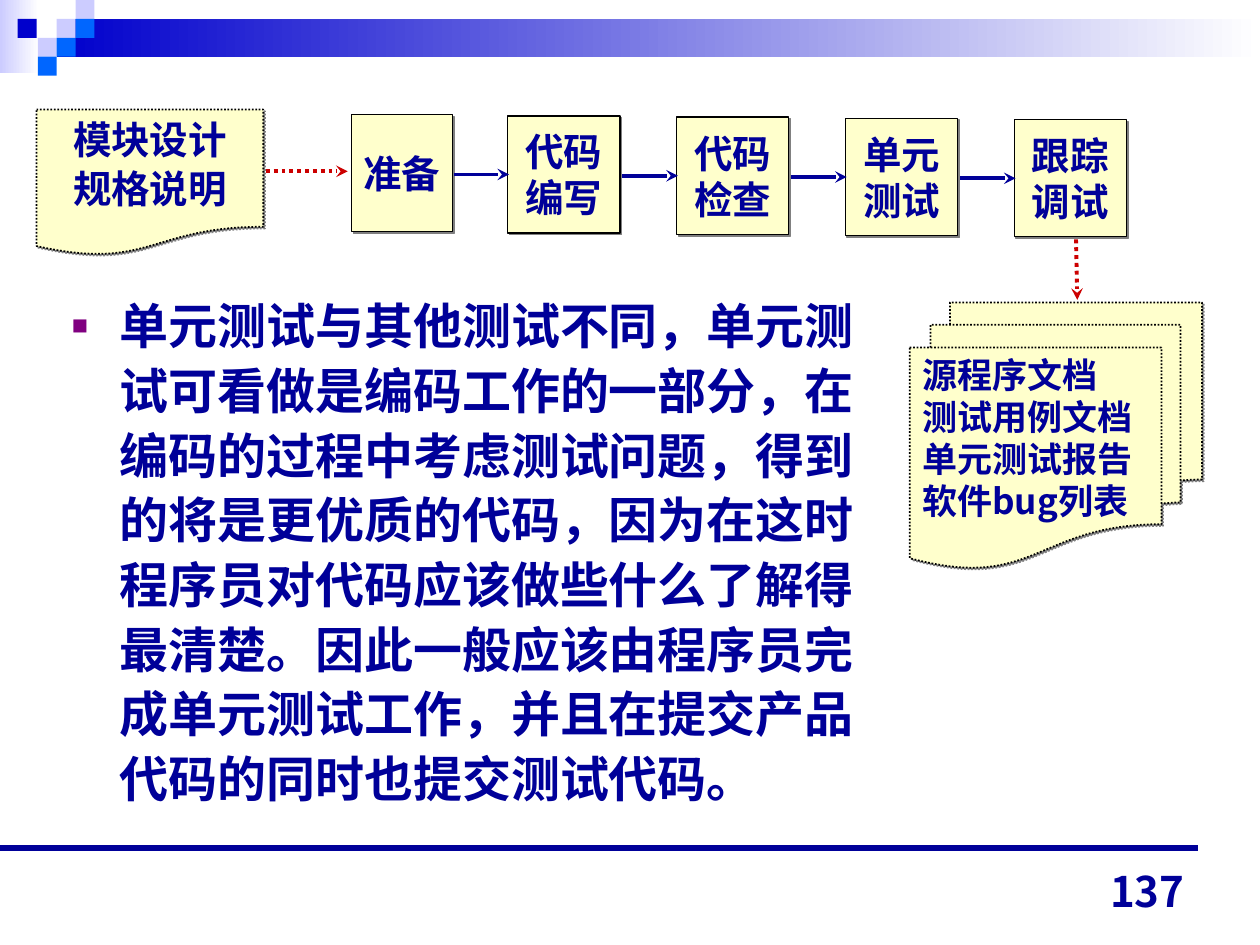
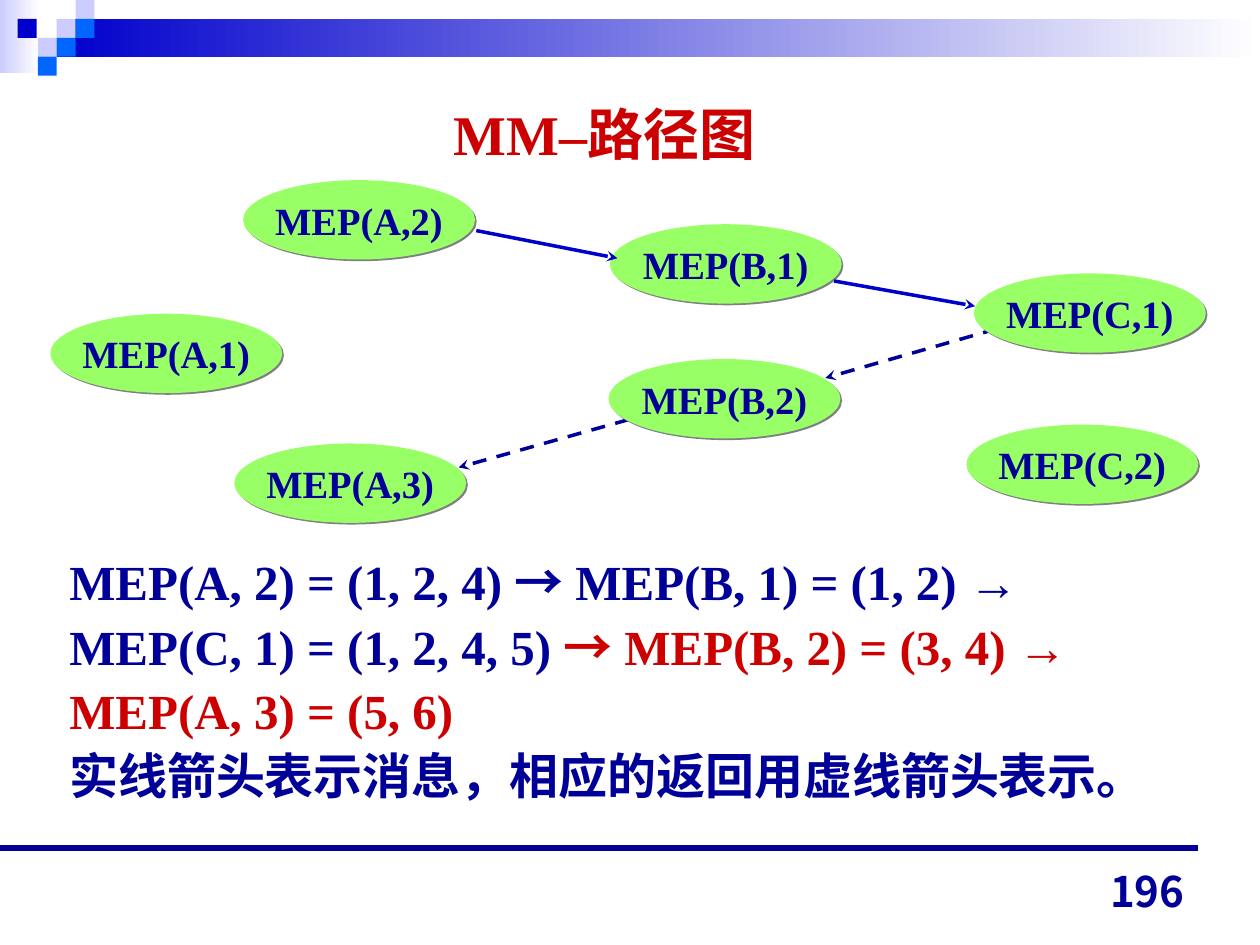
import pptx
import pptx.dml.color
import pptx.enum.dml
import pptx.enum.shapes
import pptx.enum.text
import pptx.oxml
import pptx.oxml.ns
import pptx.util
from lxml import etree

Inches = pptx.util.Inches
Pt = pptx.util.Pt
SHAPE = pptx.enum.shapes.MSO_SHAPE
ALIGN = pptx.enum.text.PP_ALIGN
ANCHOR = pptx.enum.text.MSO_ANCHOR
DASH = pptx.enum.dml.MSO_LINE
qn = pptx.oxml.ns.qn

COLORS = {
    "navy": "000099", "blue": "0000CC", "sky": "0066FF", "lilac": "CCCCFF",
    "red": "CC0000", "purple": "800080", "cream": "FFFFCC", "green": "99FF66",
    "gray": "808080", "black": "000000", "white": "FFFFFF",
}
SERIF, SANS, NUMBER_FONT = "Times New Roman", "Noto Sans CJK SC", "Noto Sans CJK JP"

# Shared header: gradient bands and small squares
BANDS = [((0, 0, 0.31, 0.58), "lilac"), ((0.45, 0.15, 9.55, 0.3), "blue")]
SQUARE = 0.15
SQUARES = [
    (0.45, 0.15, "lilac"), (0.6, 0, "lilac"), (0.6, 0.15, "sky"), (0.3, 0.3, "lilac"),
    (0.14, 0.15, "blue"), (0.45, 0.3, "sky"), (0.3, 0.45, "sky"),
]

# Unit test process
DESIGN_DOCUMENT = ["模块设计", "规格说明"]
STEPS = [["准备"], ["代码", "编写"], ["代码", "检查"], ["单元", "测试"], ["跟踪", "调试"]]
OUTPUT_DOCUMENTS = ["源程序文档", "测试用例文档", "单元测试报告", "软件bug列表"]
UNIT_TEST_NOTE = (
    "单元测试与其他测试不同，单元测试可看做是编码工作的一部分，在编码的过程中考虑测试问题，"
    "得到的将是更优质的代码，因为在这时程序员对代码应该做些什么了解得最清楚。"
    "因此一般应该由程序员完成单元测试工作，并且在提交产品代码的同时也提交测试代码。"
)

# MM path graph
MM_TITLE = "MM–路径图"
NODES = {
    "MEP(A,2)": (1.93, 1.43), "MEP(A,1)": (0.4, 2.49), "MEP(B,1)": (4.84, 1.78),
    "MEP(C,1)": (7.73, 2.17), "MEP(B,2)": (4.83, 2.85), "MEP(C,2)": (7.67, 3.37),
    "MEP(A,3)": (1.86, 3.52),
}
MESSAGES = [((3.78, 1.83), (4.9, 2.05)), ((6.62, 2.23), (7.74, 2.43))]
RETURNS = [((7.91, 2.61), (6.55, 3)), ((4.99, 3.33), (3.64, 3.71))]
RED = {"color": "red"}
PATH_LINES = [
    [("MEP(A, 2) = (1, 2, 4) ", {}), ("→", {"font": SANS}), (" MEP(B, 1) = (1, 2) →", {})],
    [("MEP(C, 1) = (1, 2, 4, 5) ", {}), ("→", {"font": SANS, "color": "red"}),
     (" MEP(B, 2) = (3, 4) →", RED)],
    [("MEP(A, 3) = (5, 6)", RED)],
    "实线箭头表示消息，相应的返回用虚线箭头表示。",
]


def rgb(name):
    return pptx.dml.color.RGBColor.from_string(COLORS[name])


def place(shape, box):
    shape.left, shape.top, shape.width, shape.height = map(Inches, box)


def add_element(parent, tag, **attributes):
    return etree.SubElement(parent, qn(tag), attributes)


def set_indent(paragraph, indent, bullet):
    """Give a hanging indent, with a square bullet or none."""
    properties = paragraph._p.get_or_add_pPr()
    properties.set("marL", str(Inches(indent)))
    properties.set("indent", str(-Inches(indent)))
    if not bullet:
        add_element(properties, "a:buNone")
        return
    add_element(add_element(properties, "a:buClr"), "a:srgbClr", val=COLORS[bullet])
    add_element(properties, "a:buSzPct", val="55000")
    add_element(properties, "a:buFont", typeface="Arial")
    add_element(properties, "a:buChar", char="■")


def write(shape, paragraphs, size=22, font=SERIF, color="navy", align=ALIGN.LEFT,
          anchor=ANCHOR.TOP, wrap=True, inset=(0.1, 0.05), line=1.0, gap=0,
          indent=None, bullet=None):
    """Fill a shape; a paragraph is a string or a list of (text, format) runs."""
    frame = shape.text_frame
    frame.auto_size = pptx.enum.text.MSO_AUTO_SIZE.NONE
    frame.word_wrap = wrap
    frame.vertical_anchor = anchor
    frame.margin_left = frame.margin_right = Inches(inset[0])
    frame.margin_top = frame.margin_bottom = Inches(inset[1])
    for index, runs in enumerate(paragraphs):
        paragraph = frame.add_paragraph() if index else frame.paragraphs[0]
        if indent is not None:
            set_indent(paragraph, indent, bullet)
        paragraph.alignment = align
        paragraph.line_spacing = line
        paragraph.space_before = Pt(gap if index else 0)
        for text, style in [(runs, {})] if isinstance(runs, str) else runs:
            run = paragraph.add_run()
            run.text = text
            run.font.size = Pt(size)
            run.font.bold = True
            run.font.name = style.get("font", font)
            run.font.color.rgb = rgb(style.get("color", color))
            east_asian = etree.Element(qn("a:ea"), typeface=SANS)
            run._r.rPr.find(qn("a:latin")).addnext(east_asian)


def add_shape(slide, kind, box, fill, outline=None, width=0.75, dash=None, shadow=False):
    shape = slide.shapes.add_shape(kind, *map(Inches, box))
    shape.shadow.inherit = False
    shape.fill.solid()
    shape.fill.fore_color.rgb = rgb(fill)
    if outline:
        shape.line.color.rgb = rgb(outline)
        shape.line.width = Pt(width)
        if dash:
            shape.line.dash_style = dash
    else:
        shape.line.fill.background()
    if shadow:
        effects = shape._element.spPr.find(qn("a:effectLst"))
        outer = add_element(effects, "a:outerShdw", blurRad="0", dist=str(Pt(1.4)),
                            dir="2700000", algn="ctr", rotWithShape="0")
        add_element(outer, "a:srgbClr", val=COLORS["gray"])
    return shape


def add_line(slide, start, end, color, width, dash=None, arrow=True):
    connector = slide.shapes.add_connector(
        pptx.enum.shapes.MSO_CONNECTOR.STRAIGHT, *map(Inches, start + end))
    connector.line.color.rgb = rgb(color)
    connector.line.width = Pt(width)
    if dash:
        connector.line.dash_style = dash
    if arrow:
        add_element(connector.line._get_or_add_ln(), "a:tailEnd", type="stealth")
    add_element(connector._element.spPr, "a:effectLst")


def add_base_slide(presentation, number):
    """Add a slide with header bands, footer rule and page number."""
    slide = presentation.slides.add_slide(presentation.slide_layouts[1])
    for box, color in BANDS:
        band = add_shape(slide, SHAPE.RECTANGLE, box, color)
        band.fill.gradient()
        band.fill.gradient_angle = 180
        for stop, name in zip(band.fill.gradient_stops, ("white", color)):
            stop.color.rgb = rgb(name)
    for left, top, color in SQUARES:
        add_shape(slide, SHAPE.RECTANGLE, (left, top, SQUARE, SQUARE), color)
    add_line(slide, (0, 6.73), (9.51, 6.73), "navy", 3.25, arrow=False)
    page = slide.shapes.add_textbox(*map(Inches, (7.17, 6.82, 2.33, 0.5)))
    write(page, [number], size=24, font=NUMBER_FONT, align=ALIGN.RIGHT, anchor=ANCHOR.BOTTOM)
    return slide


def build_process_slide(presentation):
    slide = add_base_slide(presentation, "137")
    title = slide.shapes.title._element
    title.getparent().remove(title)
    body = slide.placeholders[1]
    place(body, (0.47, 2.25, 6.51, 4.53))
    write(body, [UNIT_TEST_NOTE], size=28, line=1.1, indent=0.38, bullet="purple")

    dotted = {"outline": "black", "width": 1, "dash": DASH.ROUND_DOT, "shadow": True}
    design = add_shape(slide, SHAPE.FLOWCHART_DOCUMENT, (0.29, 0.87, 1.8, 1.16),
                       "cream", **dotted)
    write(design, DESIGN_DOCUMENT, align=ALIGN.CENTER, gap=1.5)
    outputs = add_shape(slide, SHAPE.FLOWCHART_MULTIDOCUMENT, (7.22, 2.4, 2.32, 2.11),
                        "cream", **dotted)
    write(outputs, OUTPUT_DOCUMENTS, size=20, font=SANS)

    first_left, second_left, pitch, height = 2.79, 4.03, 1.34, 0.93
    for index, lines in enumerate(STEPS):
        left = second_left + (index - 1) * pitch if index else first_left
        top = 0.91 + 0.01 * index
        width = 0.89 if index else 0.8
        step = add_shape(slide, SHAPE.RECTANGLE, (left, top, width, height), "cream",
                         outline="black", shadow=True)
        write(step, lines, align=ALIGN.CENTER, anchor=ANCHOR.MIDDLE, inset=(0, 0))
        if index:
            middle = top + height / 2
            add_line(slide, (left - 0.43, middle), (left + 0.01, middle), "navy", 2.25)
    for start, end in [((2.11, 1.36), (2.76, 1.36)), ((8.54, 1.9), (8.55, 2.38))]:
        add_line(slide, start, end, "red", 2.25, DASH.ROUND_DOT)


def build_path_slide(presentation):
    slide = add_base_slide(presentation, "196")
    title, body = slide.shapes.title, slide.placeholders[1]
    place(title, (0.3, 0.48, 9, 1.16))
    write(title, [MM_TITLE], size=32, color="red", align=ALIGN.CENTER, anchor=ANCHOR.MIDDLE)
    place(body, (0.45, 4.28, 9, 2.39))
    write(body, PATH_LINES, size=28, line=1.1, indent=0.58)

    for start, end in RETURNS:
        add_line(slide, start, end, "navy", 2, DASH.DASH)
    for label, corner in NODES.items():
        node = add_shape(slide, SHAPE.OVAL, corner + (1.84, 0.63), "green", shadow=True)
        write(node, [label], align=ALIGN.CENTER, anchor=ANCHOR.MIDDLE, wrap=False)
    for start, end in MESSAGES:
        add_line(slide, start, end, "blue", 2)


def main():
    presentation = pptx.Presentation()
    presentation.slide_width, presentation.slide_height = Inches(10), Inches(7.5)
    build_process_slide(presentation)
    build_path_slide(presentation)
    presentation.save("out.pptx")


if __name__ == "__main__":
    main()
